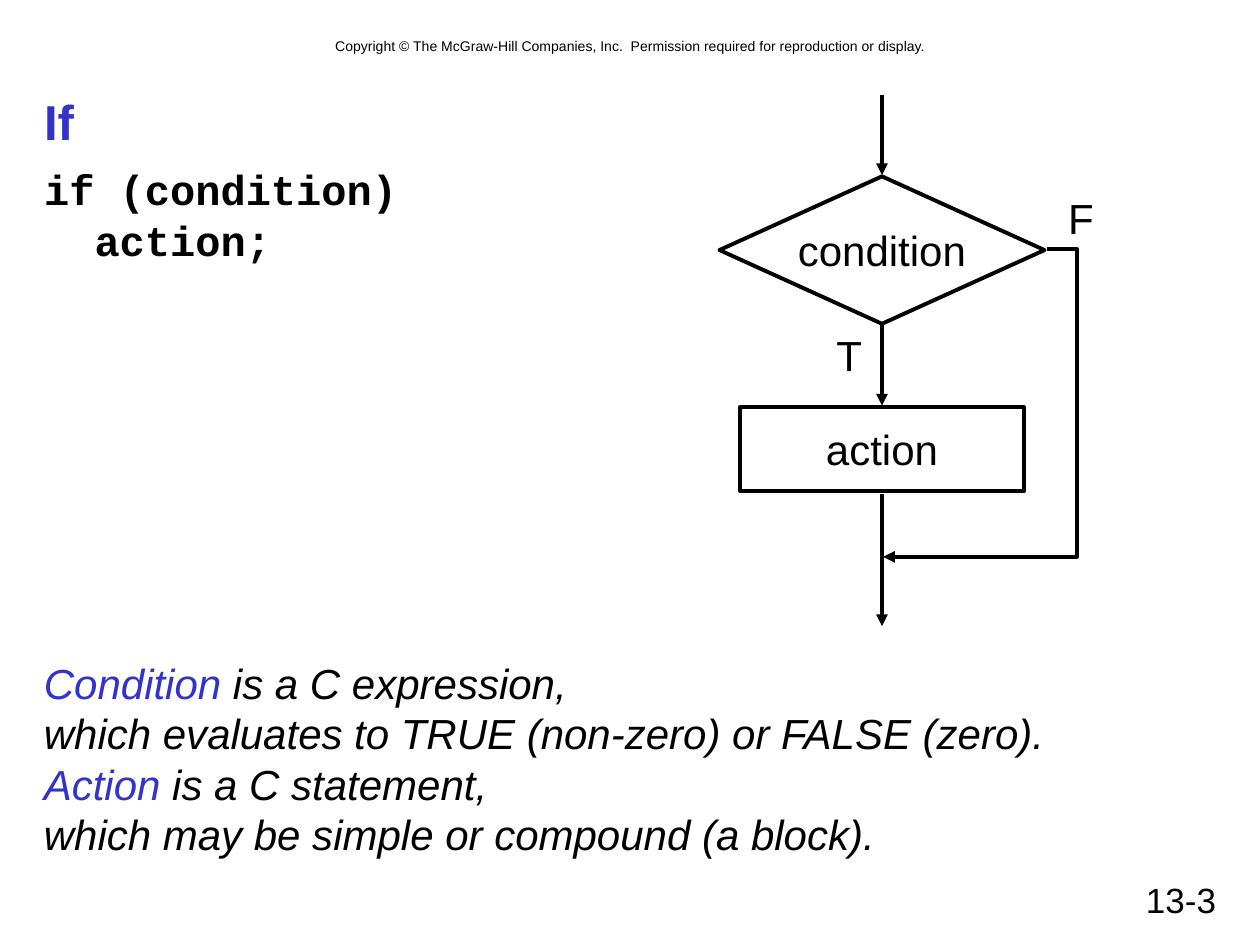
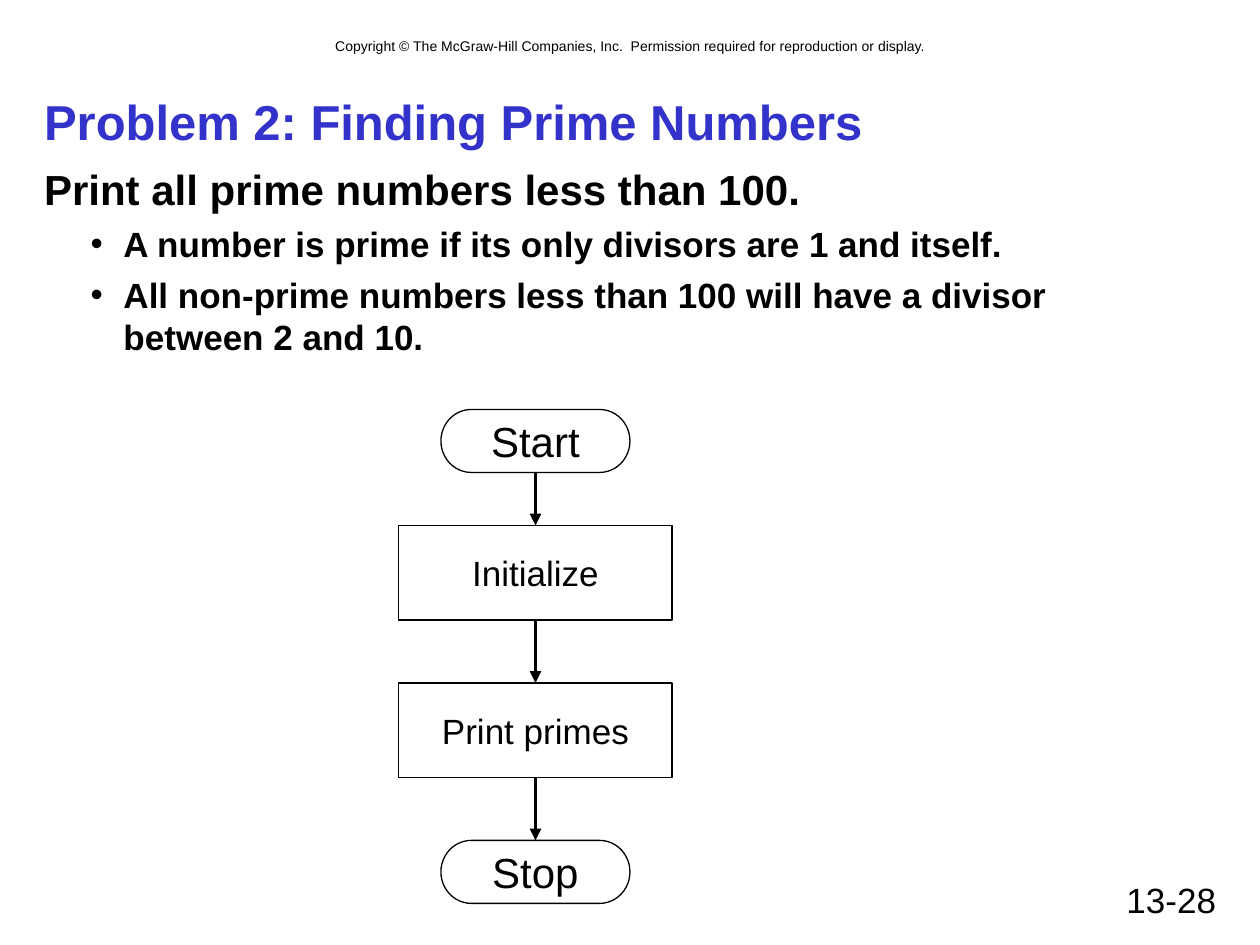
from lxml.etree import SubElement
from pptx import Presentation
from pptx.dml.color import RGBColor
from pptx.enum.shapes import MSO_CONNECTOR as Link, MSO_SHAPE as Shape
from pptx.enum.text import MSO_ANCHOR as Anchor, MSO_AUTO_SIZE as AutoSize, PP_ALIGN as Align
from pptx.oxml.ns import qn
from pptx.util import Inches, Pt

BLACK = RGBColor(0x00, 0x00, 0x00)
BLUE = RGBColor(0x33, 0x33, 0xCC)
SANS = "Arial"
MONO = "Courier New"
COPYRIGHT = ("Copyright © The McGraw-Hill Companies, Inc.  "
             "Permission required for reproduction or display.")


def write(para, text, size, color=BLACK, font=SANS, bold=False, italic=False):
    for index, line in enumerate(text.split("\n")):
        if index:
            para.add_line_break()
        span = para.add_run()
        span.text = line
        span.font.name = font
        span.font.size = Pt(size)
        span.font.bold = bold
        span.font.italic = italic
        span.font.color.rgb = color


def set_indent(para, left=0, hanging=0, bullet=None):
    props = para._p.get_or_add_pPr()
    props.set("marL", str(Inches(left)))
    props.set("indent", str(-Inches(hanging)))
    if bullet:
        color = SubElement(props, qn("a:buClr"))
        SubElement(color, qn("a:srgbClr")).set("val", str(BLACK))
        SubElement(props, qn("a:buChar")).set("char", bullet)
    else:
        SubElement(props, qn("a:buNone"))


def place(shape, left, top, width, height):
    shape.left, shape.top = Inches(left), Inches(top)
    shape.width, shape.height = Inches(width), Inches(height)
    shape.text_frame.auto_size = AutoSize.NONE


def add_label(page, text, left, top, width, height, size, align):
    box = page.shapes.add_textbox(*map(Inches, (left, top, width, height)))
    box.text_frame.word_wrap = True
    para = box.text_frame.paragraphs[0]
    para.alignment = align
    write(para, text, size)


def add_node(page, kind, text, center, top, width, height, size, weight):
    node = page.shapes.add_shape(
        kind, *map(Inches, (center - width / 2, top, width, height)))
    node.shadow.inherit = False
    node.fill.background()
    node.line.color.rgb = BLACK
    node.line.width = Pt(weight)
    frame = node.text_frame
    frame.word_wrap = False
    frame.vertical_anchor = Anchor.MIDDLE
    para = frame.paragraphs[0]
    para.alignment = Align.CENTER
    write(para, text, size)


def add_arrow(page, start, end, kind=Link.STRAIGHT):
    arrow = page.shapes.add_connector(kind, *map(Inches, (*start, *end)))
    arrow.line.color.rgb = BLACK
    arrow.line.width = Pt(2.25)
    SubElement(arrow.line._get_or_add_ln(), qn("a:tailEnd")).set("type", "triangle")
    SubElement(arrow._element.spPr, qn("a:effectLst"))
    return arrow


def add_down_arrow(page, center, top, bottom):
    add_arrow(page, (center, top), (center, bottom))


def add_page(deck, title, number):
    page = deck.slides.add_slide(deck.slide_layouts[1])
    add_label(page, COPYRIGHT, 0.67, 0.25, 8.67, 0.24, 8, Align.CENTER)
    add_label(page, number, 7.17, 6.92, 2.58, 0.42, 20, Align.RIGHT)
    heading = page.shapes.title
    place(heading, 0.25, 0.67, 9.5, 0.58)
    heading.text_frame.vertical_anchor = Anchor.MIDDLE
    para = heading.text_frame.paragraphs[0]
    para.alignment = Align.LEFT
    write(para, title, 28, BLUE, bold=True)
    place(page.placeholders[1], 0.25, 1.25, 9.5, 5.42)
    return page


def write_lead(page, text, font=SANS):
    frame = page.placeholders[1].text_frame
    para = frame.paragraphs[0]
    para.space_before = Pt(0)
    set_indent(para)
    write(para, text, 24, font=font, bold=True)
    return frame


def add_branch_chart(page, center, top):
    add_down_arrow(page, center, top, top + 0.64)
    add_node(page, Shape.DIAMOND, "condition", center, top + 0.65, 2.58, 1.17, 24, 2.25)
    add_down_arrow(page, center, top + 1.83, top + 2.47)
    add_node(page, Shape.RECTANGLE, "action", center, top + 2.48, 2.25, 0.67, 24, 2.25)
    add_down_arrow(page, center, top + 3.17, top + 4.22)
    bypass = add_arrow(page, (center + 1.31, top + 1.23),
                       (center + 0.01, top + 3.67), Link.ELBOW)
    guide = SubElement(bypass._element.spPr.prstGeom.get_or_add_avLst(), qn("a:gd"))
    guide.set("name", "adj1")
    guide.set("fmla", "val -18100")
    for text, left, drop in (("T", -0.46, 1.82), ("F", 1.38, 0.73)):
        add_label(page, text, center + left, top + drop, 0.4, 0.5, 24, Align.CENTER)


def add_definitions(page, left, top):
    box = page.shapes.add_textbox(*map(Inches, (left, top, 9, 1.7)))
    frame = box.text_frame
    frame.word_wrap = True
    definitions = (
        ("Condition", " is a C expression,\n"
                      "which evaluates to TRUE (non-zero) or FALSE (zero)."),
        ("Action", " is a C statement,\nwhich may be simple or compound (a block)."),
    )
    for index, (term, meaning) in enumerate(definitions):
        para = frame.add_paragraph() if index else frame.paragraphs[0]
        write(para, term, 24, BLUE, italic=True)
        write(para, meaning, 24, italic=True)


def add_sequence_chart(page, center, top):
    start_stop = (Shape.FLOWCHART_TERMINATOR, 1.5, 0.5, 24)
    step = (Shape.RECTANGLE, 2.17, 0.75, 20)
    nodes = (("Start", 0, start_stop), ("Initialize", 0.92, step),
             ("Print primes", 2.17, step), ("Stop", 3.42, start_stop))
    bottom = None
    for text, drop, (kind, width, height, size) in nodes:
        node_top = top + drop
        add_node(page, kind, text, center, node_top, width, height, size, 0.75)
        if bottom is not None:
            add_down_arrow(page, center, bottom, node_top)
        bottom = node_top + height


def build_if_page(deck):
    page = add_page(deck, "If", "13-3")
    write_lead(page, "if (condition)\n  action;", MONO)
    add_branch_chart(page, 7, 0.75)
    add_definitions(page, 0.25, 5.17)


def build_primes_page(deck):
    page = add_page(deck, "Problem 2: Finding Prime Numbers", "13-28")
    frame = write_lead(page, "Print all prime numbers less than 100.")
    for text in ("A number is prime if its only divisors are 1 and itself.",
                 "All non-prime numbers less than 100 will have a divisor\n"
                 "between 2 and 10."):
        para = frame.add_paragraph()
        para.level = 1
        para.space_before = Pt(5)
        set_indent(para, 0.63, 0.26, "•")
        write(para, text, 20, bold=True)
    add_sequence_chart(page, 4.25, 3.25)


def main():
    deck = Presentation()
    deck.slide_width, deck.slide_height = Inches(10), Inches(7.5)
    build_if_page(deck)
    build_primes_page(deck)
    deck.save("out.pptx")


if __name__ == "__main__":
    main()
